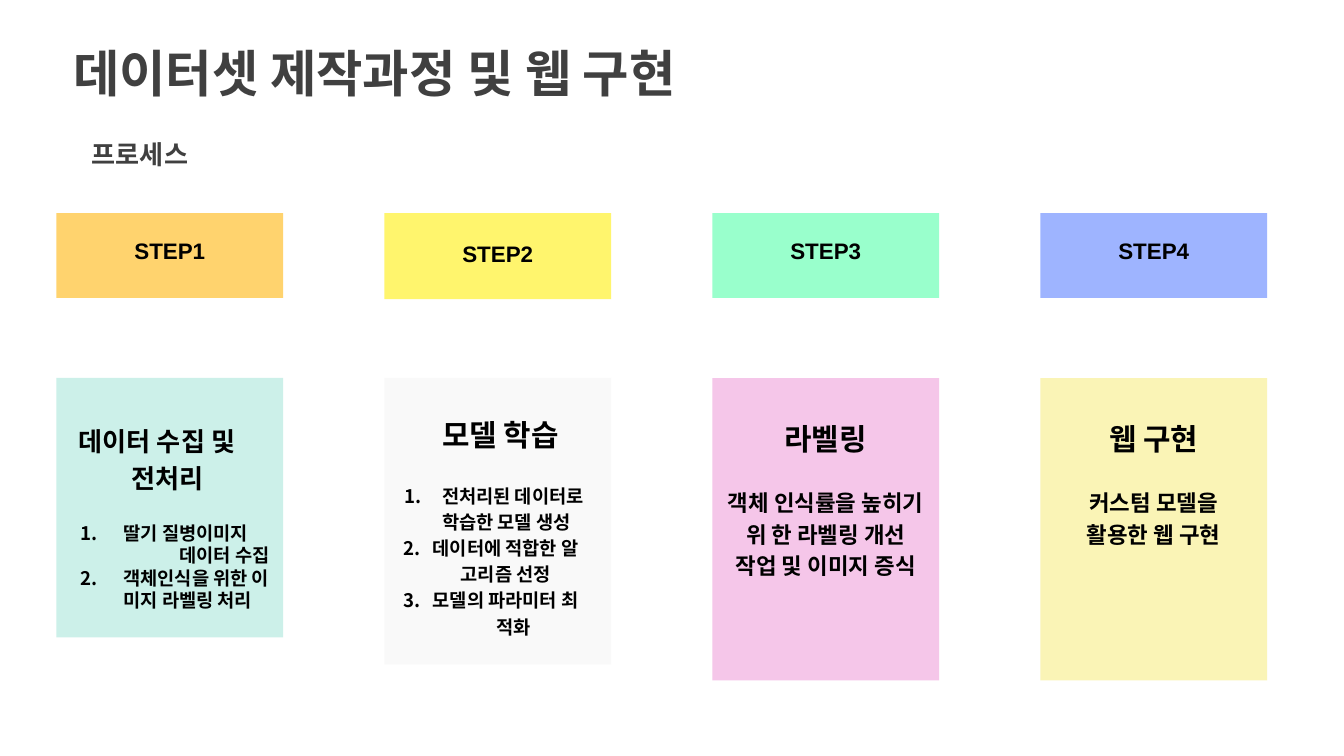
"""Build a slide showing the four steps of dataset production and web implementation."""
from lxml.etree import SubElement
from pptx import Presentation
from pptx.dml.color import RGBColor
from pptx.enum.shapes import MSO_SHAPE
from pptx.enum.text import MSO_ANCHOR, PP_ALIGN
from pptx.oxml.ns import qn
from pptx.util import Pt

COLORS = {
    "heading": "404040",
    "text": "000000",
    "steps": ["FFD36E", "FFF56D", "99FFCC", "9EB4FF"],
    "cards": ["CCF0E9", "F9F9F9", "F5C6E9", "FAF4B6"],
}
LEFT, PITCH, WIDTH = 30.25, 175.7, 121.5
STEP_TOP, CARD_TOP = 114.2, 202.5


def write(paragraph, text, size, color="text", left=0, first=0, before=0,
          spacing=1.0, number=None, align=PP_ALIGN.LEFT):
    paragraph.text = text
    paragraph.alignment = align
    paragraph.space_before = Pt(before)
    paragraph.line_spacing = spacing
    paragraph.font.name = "Arial"
    paragraph.font.size = Pt(size)
    paragraph.font.bold = True
    paragraph.font.color.rgb = RGBColor.from_string(COLORS[color])
    properties = paragraph._p.get_or_add_pPr()
    properties.set("marL", str(Pt(left)))
    properties.set("indent", str(Pt(first)))
    if number:
        bullet = SubElement(properties, qn("a:buAutoNum"), type="arabicPeriod")
        bullet.set("startAt", str(number))
        properties.insert_element_before(bullet, "a:tabLst", "a:defRPr")


def set_frame(shape, top):
    frame = shape.text_frame
    frame.word_wrap = True
    frame.vertical_anchor = MSO_ANCHOR.TOP
    frame.margin_left = frame.margin_right = frame.margin_bottom = 0
    frame.margin_top = Pt(top)
    return frame


presentation = Presentation()
presentation.slide_width, presentation.slide_height = Pt(720), Pt(405)
slide = presentation.slides.add_slide(presentation.slide_layouts[5])

title = slide.shapes.title
title.left, title.top, title.width, title.height = Pt(38.2), Pt(21.6), Pt(385), Pt(33)
write(set_frame(title, 1).paragraphs[0], "데이터셋 제작과정 및 웹 구현", 27, "heading", left=1)

subtitle = slide.shapes.add_textbox(Pt(48.2), Pt(73.4), Pt(84), Pt(17.3))
write(set_frame(subtitle, 1).paragraphs[0], "프로세스", 14, "heading", left=1)

center = {"align": PP_ALIGN.CENTER}
description = {"before": 15, "spacing": 1.17, **center}
cards = [
    (139, 22, [
        ("데이터 수집 및\v전처리", 14, {"left": 40, "first": -28, "spacing": 1.19}),
        ("딸기 질병이미지", 10, {"left": 36, "first": -23, "before": 15, "number": 1}),
        ("데이터 수집", 10, {"left": 66}),
        ("객체인식을 위한 이\v미지 라벨링 처리", 10, {"left": 36, "first": -23, "number": 2}),
    ]),
    (153.4, 21, [
        ("모델 학습", 16, {"left": 31}),
        ("전처리된 데이터로\v학습한 모델 생성", 10,
         {"left": 31, "first": -20, "before": 15, "spacing": 1.17, "number": 1}),
        ("데이터에 적합한 알", 10, {"left": 26, "first": -16, "spacing": 1.13, "number": 2}),
        ("고리즘 선정", 10, {"left": 41, "spacing": 1.17}),
        ("모델의 파라미터 최", 10, {"left": 26, "first": -16, "spacing": 1.17, "number": 3}),
        ("적화", 10, {"left": 60, "spacing": 1.19}),
    ]),
    (162, 23, [
        ("라벨링", 16, center),
        ("객체 인식률을 높히기\v위 한 라벨링 개선\v작업 및 이미지 증식", 12, description),
    ]),
    (162, 23, [
        ("웹 구현", 16, center),
        ("커스텀 모델을\v활용한 웹 구현", 12, description),
    ]),
]
steps = [(45.4, 13), (46.1, 14.6), (45.4, 13), (45.4, 13)]

boxes = []
for index, (height, inset, lines) in enumerate(cards):
    boxes.append((index, CARD_TOP, height, inset, COLORS["cards"][index], lines))
for index, (height, inset) in enumerate(steps):
    label = [(f"STEP{index + 1}", 12, center)]
    boxes.append((index, STEP_TOP, height, inset, COLORS["steps"][index], label))

for column, top, height, inset, color, lines in boxes:
    box = slide.shapes.add_shape(
        MSO_SHAPE.RECTANGLE, Pt(LEFT + column * PITCH), Pt(top), Pt(WIDTH), Pt(height))
    box.shadow.inherit = False
    box.fill.solid()
    box.fill.fore_color.rgb = RGBColor.from_string(color)
    box.line.fill.background()
    frame = set_frame(box, inset)
    for position, (text, size, layout) in enumerate(lines):
        paragraph = frame.add_paragraph() if position else frame.paragraphs[0]
        write(paragraph, text, size, **layout)

presentation.save("out.pptx")
